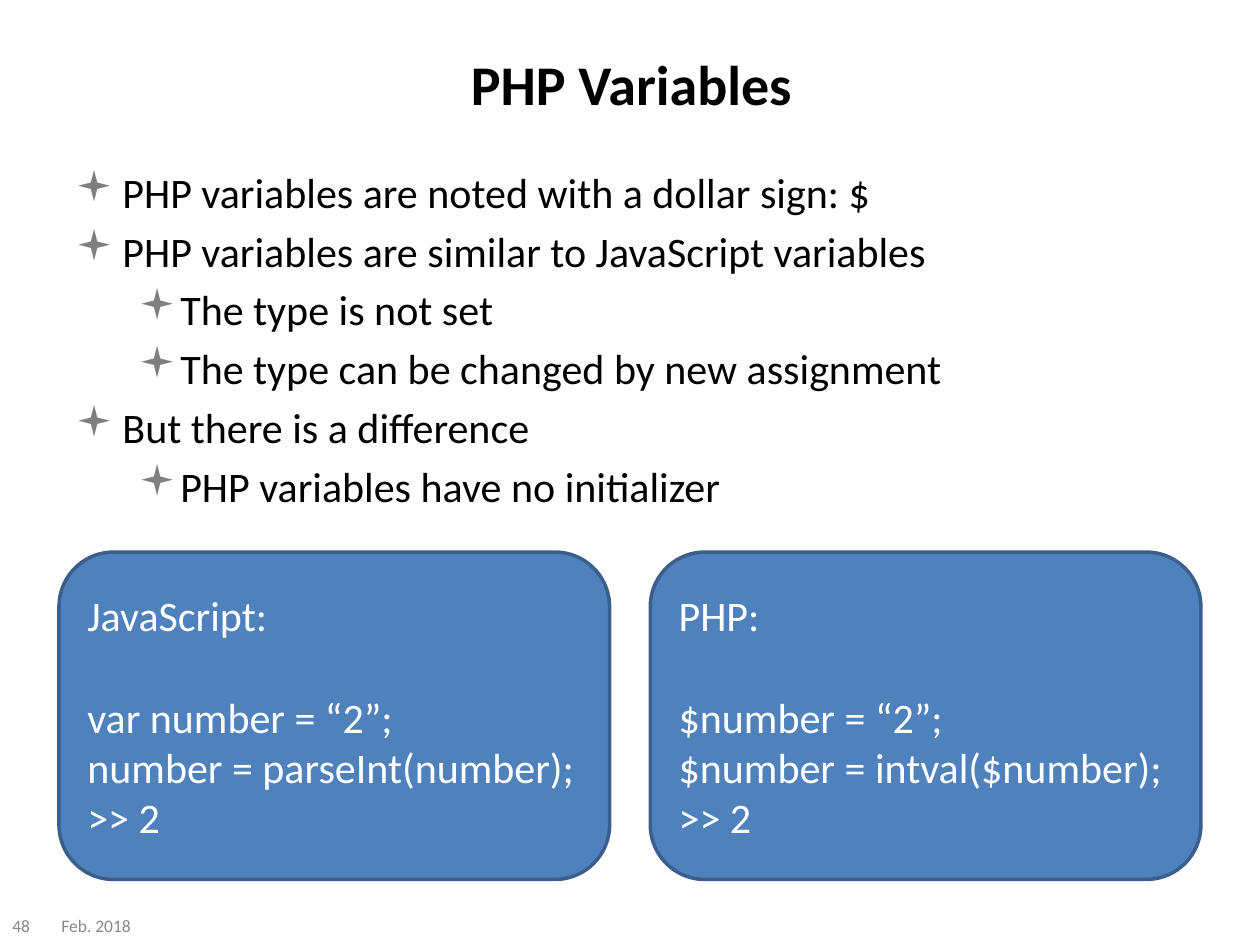
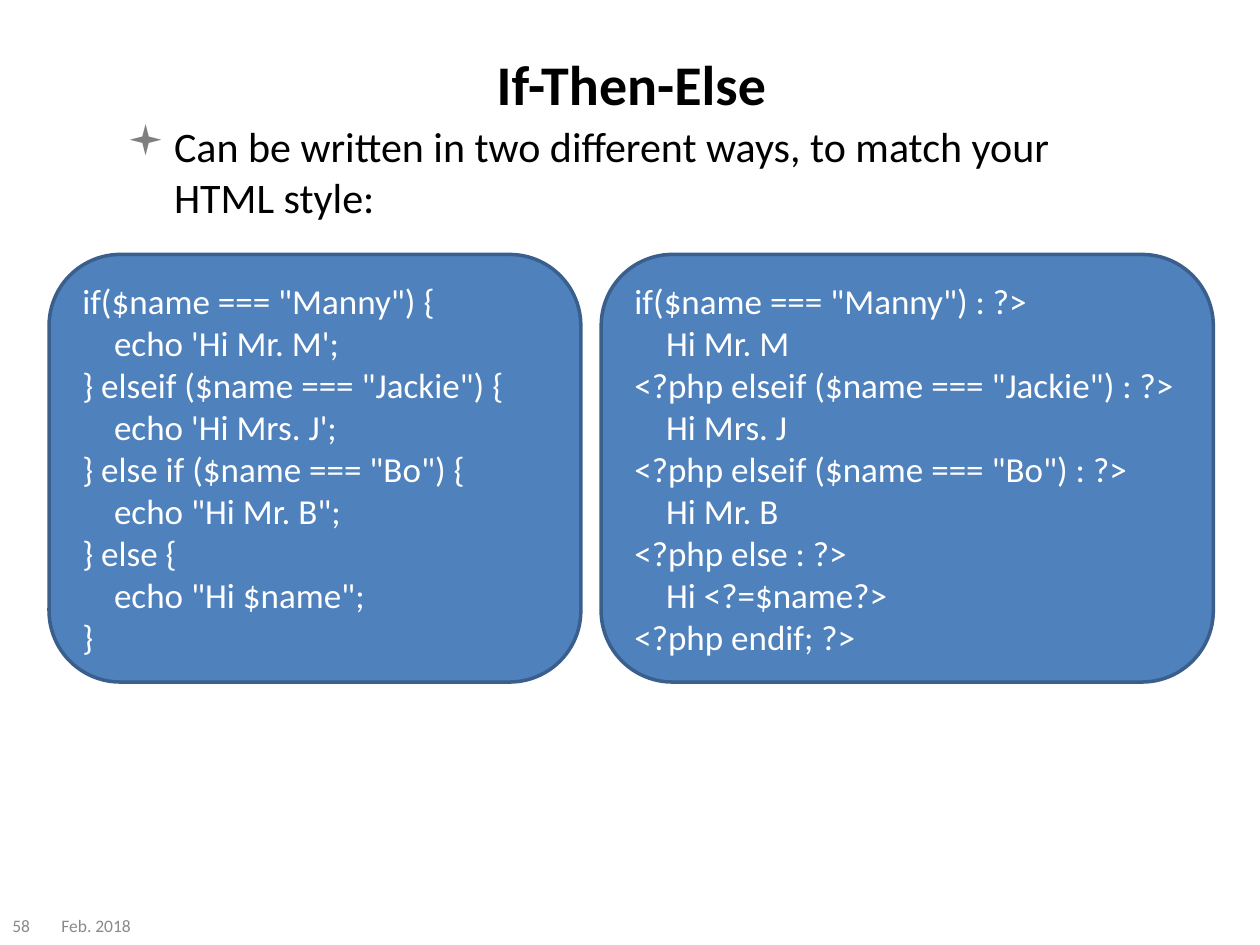
"""Build two lecture slides on PHP: variables and conditionals."""
from dataclasses import dataclass

from lxml.etree import SubElement
from pptx import Presentation
from pptx.dml.color import RGBColor
from pptx.enum.shapes import MSO_SHAPE
from pptx.enum.text import MSO_ANCHOR, PP_ALIGN
from pptx.oxml.ns import qn
from pptx.util import Cm, Pt


@dataclass(frozen=True)
class Theme:
    """Colours and type sizes shared by the slides."""
    font: str = "Calibri"
    text: RGBColor = RGBColor(0, 0, 0)
    footer: RGBColor = RGBColor(0x89, 0x89, 0x89)
    panel_text: RGBColor = RGBColor(0xFF, 0xFF, 0xFF)
    panel_fill: RGBColor = RGBColor(0x4F, 0x81, 0xBD)
    panel_line: RGBColor = RGBColor(0x3A, 0x5F, 0x8C)
    bullet: str = "7F7F7F"
    title_size: int = 32
    body_size: int = 24
    footer_size: int = 10


@dataclass(frozen=True)
class Box:
    """A rectangle in centimetres."""
    left: float
    top: float
    width: float
    height: float

    def lengths(self):
        """Return the position and size as lengths."""
        return Cm(self.left), Cm(self.top), Cm(self.width), Cm(self.height)


@dataclass(frozen=True)
class Line:
    """One line of text, its indent level and the space before it in points."""
    text: str
    level: int = 0
    space_before: float = 0


@dataclass(frozen=True)
class CodePanel:
    """A rounded panel that holds code."""
    box: Box
    size: int
    lines: tuple[Line, ...]


@dataclass(frozen=True)
class Lesson:
    """The content of one slide."""
    number: int
    title: str
    body: Box
    bullets: tuple[Line, ...]
    panels: tuple[CodePanel, ...]


THEME = Theme()
TITLE_BOX = Box(1.3, 0.23, 22.86, 2.9)
DATE_BOX = Box(0.99, 18.26, 2.39, 0.79)
NUMBER_BOX = Box(0, 18.26, 1.19, 0.79)
DATE = "Feb. 2018"
BULLET_INDENTS = ((0.95, -0.95), (2.06, -0.79))  # left margin, first line
BULLET_SPACE = 0.2 * THEME.body_size
CODE_INDENT = 0.64
BLANK_LINE = 29.3


def style_paragraph(paragraph, text: str, size: float, color: RGBColor,
                    bold: bool = False) -> None:
    """Write the text of a paragraph and set its font."""
    paragraph.text = text
    font = paragraph.font
    font.name, font.size, font.bold = THEME.font, Pt(size), bold
    font.color.rgb = color


def set_indent(paragraph, left: float, first: float = 0) -> None:
    """Set the left margin and first line indent in centimetres."""
    properties = paragraph._p.get_or_add_pPr()
    properties.set("marL", str(Cm(left)))
    properties.set("indent", str(Cm(first)))


def add_bullet(paragraph) -> None:
    """Give a paragraph a small grey square bullet."""
    properties = paragraph._p.get_or_add_pPr()
    color = SubElement(properties, qn("a:buClr"))
    SubElement(color, qn("a:srgbClr"), val=THEME.bullet)
    SubElement(properties, qn("a:buFont"), typeface="Wingdings")
    SubElement(properties, qn("a:buChar"), char="▪")
    default_font = properties.find(qn("a:defRPr"))
    if default_font is not None:
        properties.append(default_font)


def add_text_frame(slide, box: Box, anchor=MSO_ANCHOR.MIDDLE):
    """Add a wrapping text box and return its text frame."""
    frame = slide.shapes.add_textbox(*box.lengths()).text_frame
    frame.word_wrap = True
    frame.vertical_anchor = anchor
    return frame


def next_paragraph(frame, index: int):
    """Return the first paragraph of a frame, or a new one after it."""
    return frame.add_paragraph() if index else frame.paragraphs[0]


def draw_frame(slide, lesson: Lesson) -> None:
    """Draw the title, the date and the slide number."""
    title = add_text_frame(slide, TITLE_BOX).paragraphs[0]
    style_paragraph(title, lesson.title, THEME.title_size, THEME.text, bold=True)
    title.alignment = PP_ALIGN.CENTER
    for box, text in ((DATE_BOX, DATE), (NUMBER_BOX, str(lesson.number))):
        paragraph = add_text_frame(slide, box).paragraphs[0]
        style_paragraph(paragraph, text, THEME.footer_size, THEME.footer)


def draw_bullets(slide, box: Box, bullets: tuple[Line, ...]) -> None:
    """Draw the bulleted body text."""
    frame = add_text_frame(slide, box, MSO_ANCHOR.TOP)
    for index, bullet in enumerate(bullets):
        paragraph = next_paragraph(frame, index)
        style_paragraph(paragraph, bullet.text, THEME.body_size, THEME.text)
        paragraph.level = bullet.level
        paragraph.space_before = Pt(BULLET_SPACE)
        set_indent(paragraph, *BULLET_INDENTS[bullet.level])
        add_bullet(paragraph)


def draw_panel(slide, panel: CodePanel) -> None:
    """Draw a rounded panel with its lines of code."""
    shape = slide.shapes.add_shape(MSO_SHAPE.ROUNDED_RECTANGLE, *panel.box.lengths())
    shape.shadow.inherit = False
    shape.fill.solid()
    shape.fill.fore_color.rgb = THEME.panel_fill
    shape.line.color.rgb = THEME.panel_line
    shape.line.width = Pt(2)
    frame = shape.text_frame
    frame.word_wrap = True
    frame.vertical_anchor = MSO_ANCHOR.MIDDLE
    for index, line in enumerate(panel.lines):
        paragraph = next_paragraph(frame, index)
        style_paragraph(paragraph, line.text, panel.size, THEME.panel_text)
        paragraph.alignment = PP_ALIGN.LEFT
        paragraph.space_before = Pt(line.space_before)
        set_indent(paragraph, line.level * CODE_INDENT)


def draw_lesson(presentation, lesson: Lesson) -> None:
    """Add one complete slide."""
    slide = presentation.slides.add_slide(presentation.slide_layouts[6])
    draw_frame(slide, lesson)
    draw_bullets(slide, lesson.body, lesson.bullets)
    for panel in lesson.panels:
        draw_panel(slide, panel)


def conversion_example(left: float, language: str, *code: str) -> CodePanel:
    """Return a panel with a language name, a gap and its code."""
    first, *rest = code
    lines = (Line(f"{language}:"), Line(first, space_before=BLANK_LINE),
             *(Line(text) for text in rest))
    return CodePanel(Box(left, 11.13, 11.1, 6.6), 24, lines)


def branch_example(left: float, width: float, *code: str) -> CodePanel:
    """Return a panel whose every second line is an indented branch."""
    lines = tuple(Line(text, level=index % 2) for index, text in enumerate(code))
    return CodePanel(Box(left, 5.13, width, 8.62), 20, lines)


LESSONS = (
    Lesson(
        48, "PHP Variables", Box(1.27, 3.23, 22.86, 7.7),
        (Line("PHP variables are noted with a dollar sign: $"),
         Line("PHP variables are similar to JavaScript variables"),
         Line("The type is not set", 1),
         Line("The type can be changed by new assignment", 1),
         Line("But there is a difference"),
         Line("PHP variables have no initializer", 1)),
        (conversion_example(1.19, "JavaScript", "var number = “2”;",
                            "number = parseInt(number);", ">> 2"),
         conversion_example(13.11, "PHP", "$number = “2”;",
                            "$number = intval($number);", ">> 2")),
    ),
    Lesson(
        58, "If-Then-Else", Box(2.31, 2.31, 20.83, 14.3),
        (Line("Can be written in two different ways, to match your HTML style:"),),
        (branch_example(0.99, 10.72,
                        'if($name === "Manny") {', "echo 'Hi Mr. M';",
                        '} elseif ($name === "Jackie") {', "echo 'Hi Mrs. J';",
                        '} else if ($name === "Bo") {', 'echo "Hi Mr. B";',
                        "} else {", 'echo "Hi $name";', "}"),
         branch_example(12.12, 12.34,
                        'if($name === "Manny") : ?>', "Hi Mr. M",
                        '<?php elseif ($name === "Jackie") : ?>', "Hi Mrs. J",
                        '<?php elseif ($name === "Bo") : ?>', "Hi Mr. B",
                        "<?php else : ?>", "Hi <?=$name?>", "<?php endif; ?>")),
    ),
)


def main() -> None:
    """Build and save the presentation."""
    presentation = Presentation()
    presentation.slide_width, presentation.slide_height = Cm(25.4), Cm(19.05)
    for lesson in LESSONS:
        draw_lesson(presentation, lesson)
    presentation.save("out.pptx")


main()
